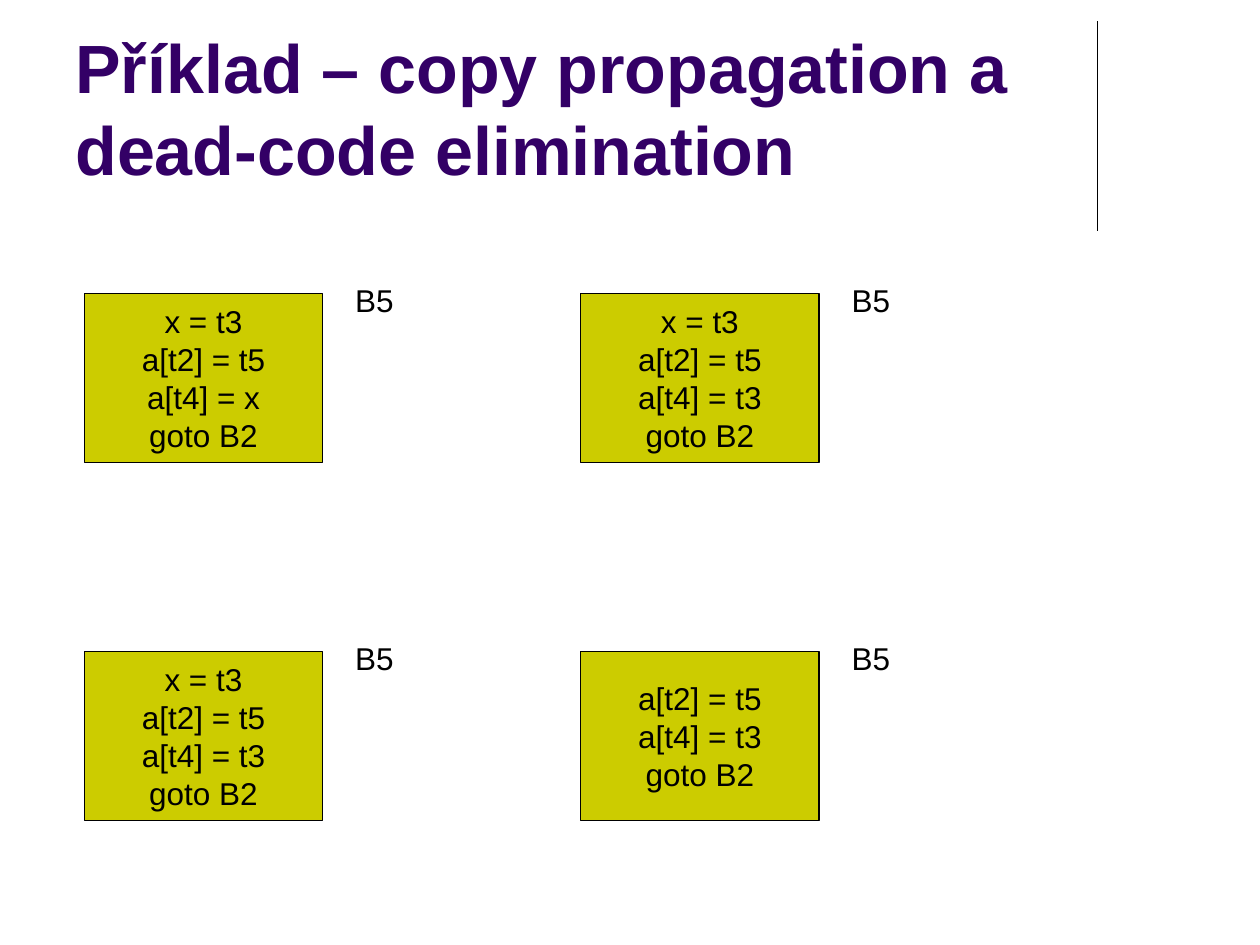
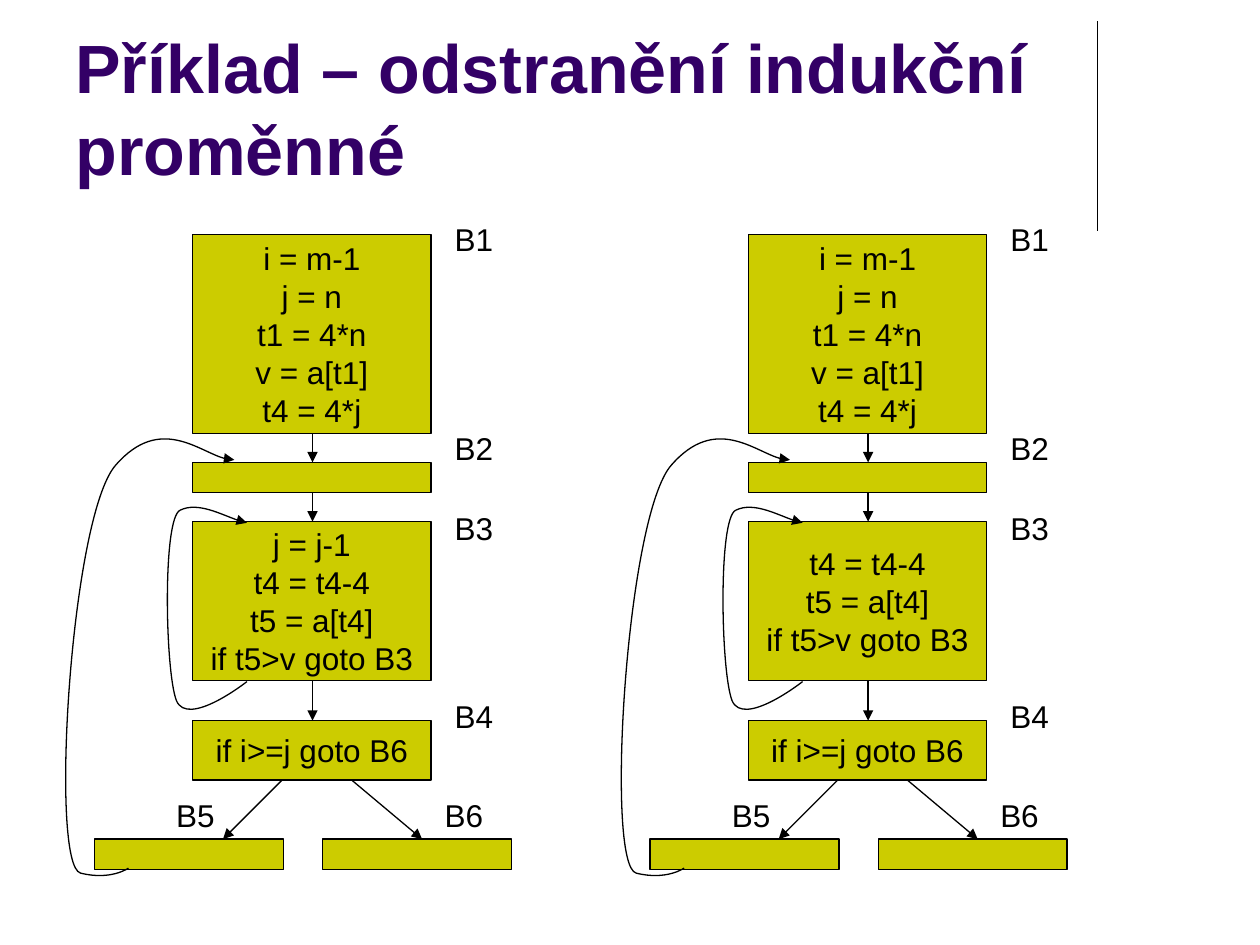
import dataclasses
import itertools
import typing

import lxml.etree
import pptx
import pptx.dml.color
import pptx.enum.shapes
import pptx.enum.text
import pptx.oxml.ns
import pptx.util

# Shared look; the slide is 1000 by 750 px
EMU_PER_PX = 9144
FONT = "Arial"
BLACK, PURPLE, OLIVE = "000000", "330066", "CCCC00"
LINE_WIDTH = pptx.util.Pt(0.75)
ALIGN = pptx.enum.text.PP_ALIGN
ANCHOR = pptx.enum.text.MSO_ANCHOR
AUTO_SIZE = pptx.enum.text.MSO_AUTO_SIZE

Point = tuple[int, int]


@dataclasses.dataclass(frozen=True)
class Block:
    left: int
    top: int
    width: int
    height: int
    code: str = ""


@dataclasses.dataclass(frozen=True)
class Label:
    left: int
    top: int
    text: str


@dataclasses.dataclass(frozen=True)
class Arrow:
    start: Point
    end: Point


@dataclasses.dataclass(frozen=True)
class TextFormat:
    size: int = 18
    color: str = BLACK
    bold: bool = False
    wrap: bool = False
    align: typing.Any = ALIGN.LEFT
    anchor: typing.Any = ANCHOR.TOP
    auto_size: typing.Any = AUTO_SIZE.NONE


LABEL_FORMAT = TextFormat(auto_size=AUTO_SIZE.SHAPE_TO_FIT_TEXT)
CODE_FORMAT = TextFormat(align=ALIGN.CENTER, anchor=ANCHOR.MIDDLE)
TITLE_FORMAT = TextFormat(39, PURPLE, bold=True, wrap=True, anchor=ANCHOR.BOTTOM)

# Slide 1: before and after each optimisation, row by row
STEP_LEFTS = (67, 461)
STEP_TOPS = (233, 517)
STEP_CODES = (
    "x = t3\na[t2] = t5\na[t4] = x\ngoto B2",
    "x = t3\na[t2] = t5\na[t4] = t3\ngoto B2",
    "x = t3\na[t2] = t5\na[t4] = t3\ngoto B2",
    "a[t2] = t5\na[t4] = t3\ngoto B2",
)

# Slide 2: one flow graph, drawn twice with a different loop body
GRAPH_STEP = 441
LOOP_BODIES = (
    "j = j-1\nt4 = t4-4\nt5 = a[t4]\nif t5>v goto B3",
    "t4 = t4-4\nt5 = a[t4]\nif t5>v goto B3",
)
GRAPH_LABELS = (
    Label(351, 170, "B1"),
    Label(351, 336, "B2"),
    Label(351, 399, "B3"),
    Label(351, 548, "B4"),
    Label(130, 627, "B5"),
    Label(343, 627, "B6"),
)
GRAPH_ARROWS = (
    Arrow((248, 344), (248, 367)),
    Arrow((248, 391), (248, 414)),
    Arrow((248, 540), (248, 572)),
    Arrow((224, 619), (177, 666)),
    Arrow((279, 619), (335, 666)),
)
# Start point, then three Bezier points for each arc
INNER_LOOP = ((196, 541), (196, 541), (149, 578), (140, 556),
              (131, 532), (129, 411), (143, 405),
              (157, 398), (185, 413), (196, 415))
OUTER_LOOP = ((102, 689), (102, 689), (88, 699), (64, 693),
              (39, 687), (56, 409), (92, 369),
              (127, 329), (167, 366), (186, 365))


def px(*lengths: int) -> list[pptx.util.Emu]:
    return [pptx.util.Emu(length * EMU_PER_PX) for length in lengths]


def rgb(color: str) -> pptx.dml.color.RGBColor:
    return pptx.dml.color.RGBColor.from_string(color)


def set_values(target: typing.Any, values: dict[str, typing.Any]) -> None:
    for name, value in values.items():
        setattr(target, name, value)


def write_text(shape: typing.Any, text: str, style: TextFormat) -> None:
    frame = shape.text_frame
    frame.text = text
    set_values(frame, {"word_wrap": style.wrap, "vertical_anchor": style.anchor,
                       "auto_size": style.auto_size})
    for paragraph in frame.paragraphs:
        paragraph.alignment = style.align
        font = paragraph.runs[0].font
        set_values(font, {"name": FONT, "size": pptx.util.Pt(style.size), "bold": style.bold})
        font.color.rgb = rgb(style.color)


def set_line(shape: typing.Any, arrowhead: bool = False) -> None:
    shape.line.width = LINE_WIDTH
    shape.line.color.rgb = rgb(BLACK)
    if arrowhead:
        line = shape.line._get_or_add_ln()
        lxml.etree.SubElement(line, pptx.oxml.ns.qn("a:tailEnd"), type="triangle")


def add_text(slide: typing.Any, box: Block, style: TextFormat) -> None:
    shape = slide.shapes.add_textbox(*px(box.left, box.top, box.width, box.height))
    write_text(shape, box.code, style)


def add_label(slide: typing.Any, label: Label, shift: int = 0) -> None:
    add_text(slide, Block(label.left + shift, label.top, 51, 40, label.text), LABEL_FORMAT)


def add_block(slide: typing.Any, block: Block, shift: int = 0) -> None:
    shape = slide.shapes.add_shape(
        pptx.enum.shapes.MSO_SHAPE.RECTANGLE,
        *px(block.left + shift, block.top, block.width, block.height))
    shape.shadow.inherit = False
    shape.fill.solid()
    shape.fill.fore_color.rgb = rgb(OLIVE)
    set_line(shape)
    if block.code:
        write_text(shape, block.code, CODE_FORMAT)


def add_line(slide: typing.Any, line: Arrow, shift: int = 0, arrowhead: bool = True) -> None:
    connector = slide.shapes.add_connector(
        pptx.enum.shapes.MSO_CONNECTOR.STRAIGHT,
        *px(line.start[0] + shift, line.start[1], line.end[0] + shift, line.end[1]))
    set_line(connector, arrowhead)
    lxml.etree.SubElement(connector.element.spPr, pptx.oxml.ns.qn("a:effectLst"))


def add_loop(slide: typing.Any, points: tuple[Point, ...], shift: int = 0) -> None:
    start, *controls = [(x + shift, y) for x, y in points]
    builder = slide.shapes.build_freeform(*start, scale=EMU_PER_PX)
    builder.add_line_segments(controls, close=False)
    shape = builder.convert_to_shape()
    # Join every three straight segments into one Bezier arc
    segments = list(shape.element.iter(pptx.oxml.ns.qn("a:lnTo")))
    for first in range(0, len(segments), 3):
        arc = lxml.etree.Element(pptx.oxml.ns.qn("a:cubicBezTo"))
        segments[first].addprevious(arc)
        for segment in segments[first:first + 3]:
            arc.append(segment[0])
            segment.getparent().remove(segment)
    shape.shadow.inherit = False
    shape.fill.background()
    set_line(shape, arrowhead=True)


def add_slide(presentation: typing.Any, title: str) -> typing.Any:
    slide = presentation.slides.add_slide(presentation.slide_layouts[6])
    add_line(slide, Arrow((871, 17), (871, 183)), arrowhead=False)
    add_text(slide, Block(50, 13, 825, 142, title), TITLE_FORMAT)
    return slide


def add_flow_graph(slide: typing.Any, loop_body: str, shift: int) -> None:
    blocks = (
        Block(153, 186, 189, 158, "i = m-1\nj = n\nt1 = 4*n\nv = a[t1]\nt4 = 4*j"),
        Block(153, 367, 189, 24),
        Block(153, 414, 189, 126, loop_body),
        Block(153, 572, 189, 47, "if i>=j goto B6"),
        Block(75, 666, 150, 24),
        Block(256, 666, 150, 24),
    )
    for draw, items in ((add_block, blocks), (add_label, GRAPH_LABELS),
                        (add_line, GRAPH_ARROWS), (add_loop, (INNER_LOOP, OUTER_LOOP))):
        for item in items:
            draw(slide, item, shift)


def main() -> None:
    presentation = pptx.Presentation()
    width, height = px(1000, 750)
    set_values(presentation, {"slide_width": width, "slide_height": height})

    # Copy propagation and dead-code elimination
    slide = add_slide(presentation, "Příklad – copy propagation a dead-code elimination")
    for (top, left), code in zip(itertools.product(STEP_TOPS, STEP_LEFTS), STEP_CODES):
        add_block(slide, Block(left, top, 189, 134, code))
        add_label(slide, Label(left + 205, top - 15, "B5"))

    # Induction variable removal
    slide = add_slide(presentation, "Příklad – odstranění indukční proměnné")
    for column, loop_body in enumerate(LOOP_BODIES):
        add_flow_graph(slide, loop_body, column * GRAPH_STEP)

    presentation.save("out.pptx")


if __name__ == "__main__":
    main()
